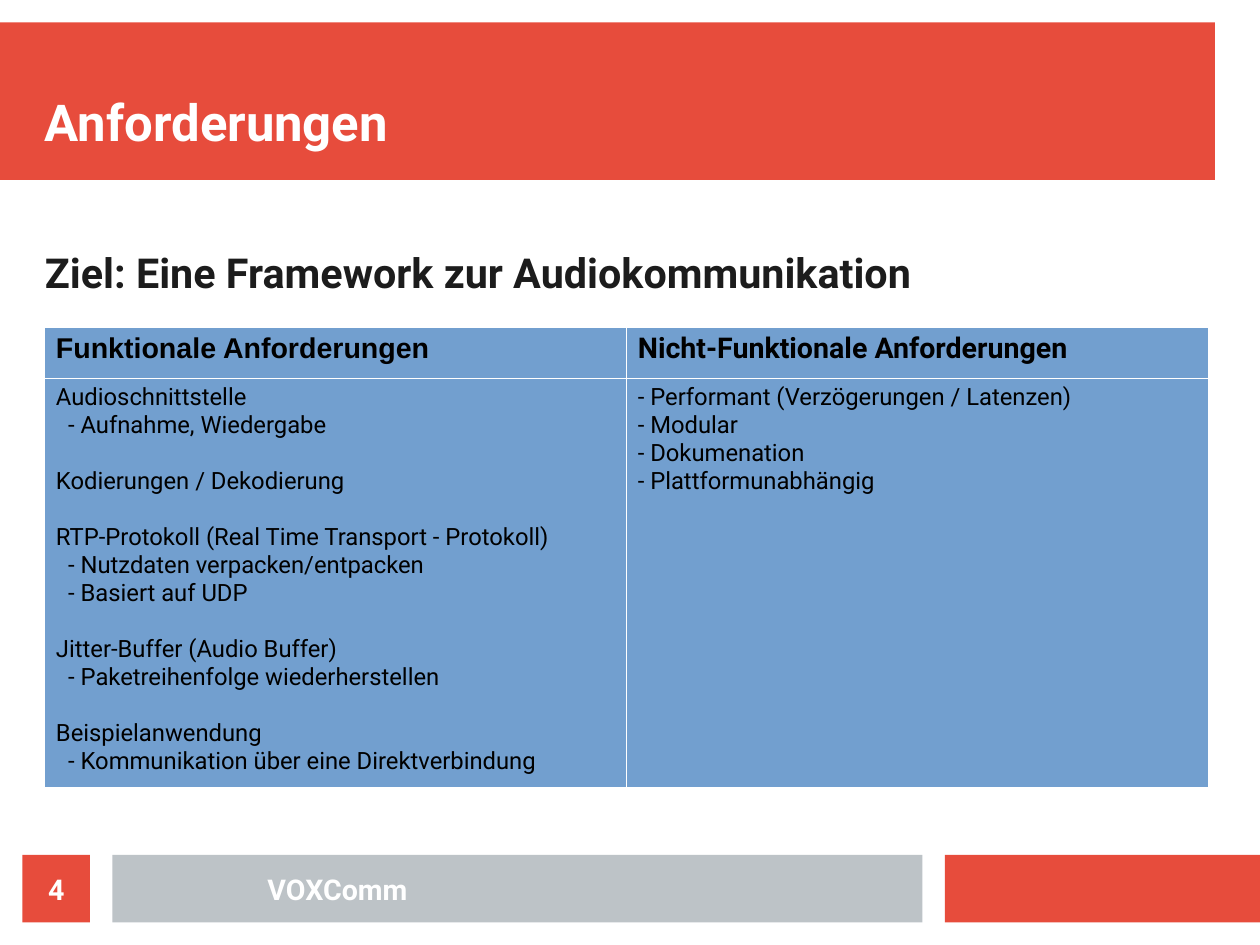
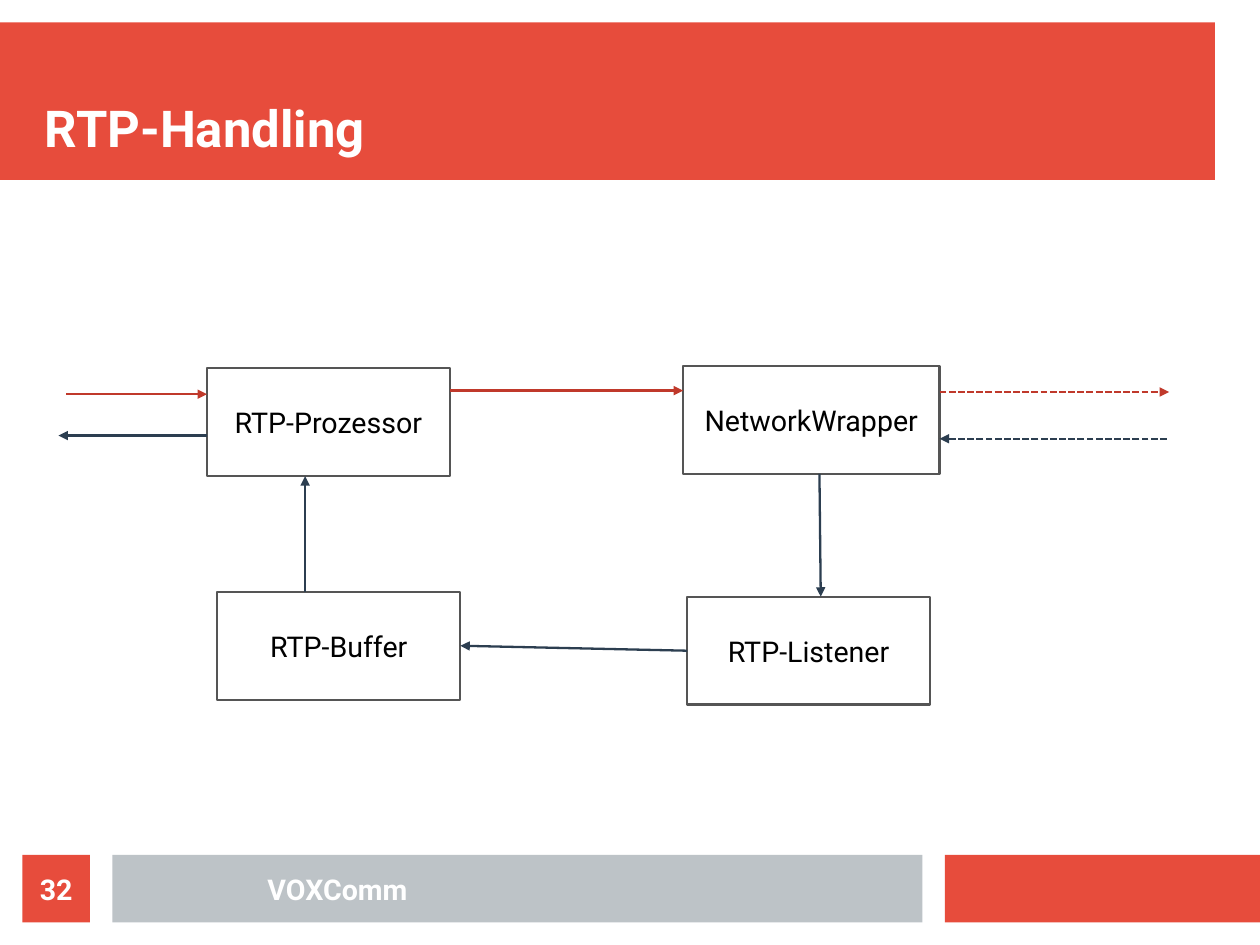
from dataclasses import dataclass
from typing import Optional

import lxml.etree
import pptx
import pptx.dml.color
import pptx.enum.dml
import pptx.enum.shapes
import pptx.enum.text
import pptx.oxml.ns
import pptx.presentation
import pptx.shapes.autoshape
import pptx.slide
import pptx.table
import pptx.text.text
import pptx.util
from pptx.util import Cm

COLORS = {
    "red": "E74C3C",
    "gray": "BDC3C7",
    "white": "FFFFFF",
    "ink": "1C1C1C",
    "black": "000000",
    "table": "729FCF",
    "outline": "555555",
    "send": "C0392B",
    "receive": "2C3E50",
}
FONT = "Roboto"
LEFT, CENTER = pptx.enum.text.PP_ALIGN.LEFT, pptx.enum.text.PP_ALIGN.CENTER
TOP, MIDDLE, BOTTOM = (pptx.enum.text.MSO_ANCHOR.TOP, pptx.enum.text.MSO_ANCHOR.MIDDLE,
                       pptx.enum.text.MSO_ANCHOR.BOTTOM)
SIDE_TOP, SIDE_LEFT, SIDE_BOTTOM, SIDE_RIGHT = range(4)
FOOTER_TOP, FOOTER_HEIGHT = 19, 1.5
LINE_WIDTH = 1.45
TABLE_LINE = 17.6


@dataclass(frozen=True)
class Area:
    """Rectangle in centimetres."""
    left: float
    top: float
    width: float
    height: float

    def lengths(self) -> tuple[Cm, Cm, Cm, Cm]:
        return Cm(self.left), Cm(self.top), Cm(self.width), Cm(self.height)


@dataclass(frozen=True)
class Node:
    name: str
    area: Area


@dataclass(frozen=True)
class Arrow:
    start: tuple[float, float]
    end: tuple[float, float]
    color: str
    dashed: bool = False
    start_joint: Optional[tuple[str, int]] = None
    end_joint: Optional[tuple[str, int]] = None


@dataclass(frozen=True)
class Entry:
    """One line in a table cell."""
    text: str
    indent: float = 0
    space_before: float = 0


def rgb(name: str) -> pptx.dml.color.RGBColor:
    return pptx.dml.color.RGBColor.from_string(COLORS[name])


# Text
def write(paragraph, text: str, *, size: float = 18, color: str = "black", font: str = FONT,
          bold: bool = False, align=LEFT, indent: float = 0, space_before: float = 0) -> None:
    paragraph.alignment = align
    paragraph.space_before = pptx.util.Pt(space_before)
    if indent:
        paragraph._p.get_or_add_pPr().set("marL", str(Cm(indent)))
    run = paragraph.add_run()
    run.text = text
    run.font.name = font
    run.font.size = pptx.util.Pt(size)
    run.font.bold = bold
    run.font.color.rgb = rgb(color)


def set_frame(frame: pptx.text.text.TextFrame, anchor, wrap: bool = True) -> None:
    frame.word_wrap = wrap
    frame.vertical_anchor = anchor
    frame.margin_left = frame.margin_right = frame.margin_top = frame.margin_bottom = 0


def add_text(slide: pptx.slide.Slide, area: Area, text: str, anchor=TOP, **style) -> None:
    frame = slide.shapes.add_textbox(*area.lengths()).text_frame
    set_frame(frame, anchor)
    write(frame.paragraphs[0], text, **style)


# Shapes
def add_box(slide: pptx.slide.Slide, area: Area, fill: str, outline: Optional[str] = None,
            text: str = "", wrap: bool = True, **style) -> pptx.shapes.autoshape.Shape:
    shape = slide.shapes.add_shape(pptx.enum.shapes.MSO_SHAPE.RECTANGLE, *area.lengths())
    shape.shadow.inherit = False
    shape.fill.solid()
    shape.fill.fore_color.rgb = rgb(fill)
    if outline:
        shape.line.color.rgb = rgb(outline)
        shape.line.width = pptx.util.Pt(LINE_WIDTH)
    else:
        shape.line.fill.background()
    if text:
        set_frame(shape.text_frame, MIDDLE, wrap)
        write(shape.text_frame.paragraphs[0], text, align=CENTER, **style)
    return shape


def add_arrow(slide: pptx.slide.Slide, arrow: Arrow,
              boxes: dict[str, pptx.shapes.autoshape.Shape]) -> None:
    connector = slide.shapes.add_connector(
        pptx.enum.shapes.MSO_CONNECTOR.STRAIGHT,
        *(Cm(value) for value in arrow.start + arrow.end))
    if arrow.start_joint:
        name, side = arrow.start_joint
        connector.begin_connect(boxes[name], side)
    if arrow.end_joint:
        name, side = arrow.end_joint
        connector.end_connect(boxes[name], side)
    connector.line.color.rgb = rgb(arrow.color)
    connector.line.width = pptx.util.Pt(LINE_WIDTH)
    if arrow.dashed:
        connector.line.dash_style = pptx.enum.dml.MSO_LINE.SQUARE_DOT
    line = connector.line._get_or_add_ln()
    lxml.etree.SubElement(line, pptx.oxml.ns.qn("a:tailEnd"), type="triangle")
    lxml.etree.SubElement(connector._element.spPr, pptx.oxml.ns.qn("a:effectLst"))


# Table cells
def style_cell(cell: pptx.table._Cell) -> None:
    properties = cell._tc.get_or_add_tcPr()
    for edge in ("a:lnL", "a:lnR", "a:lnT", "a:lnB"):
        line = lxml.etree.SubElement(properties, pptx.oxml.ns.qn(edge),
                                     w=str(pptx.util.Pt(0.06)))
        solid = lxml.etree.SubElement(line, pptx.oxml.ns.qn("a:solidFill"))
        lxml.etree.SubElement(solid, pptx.oxml.ns.qn("a:srgbClr"), val=COLORS["white"])
    cell.fill.solid()
    cell.fill.fore_color.rgb = rgb("table")


def fill_cell(cell: pptx.table._Cell, entries: list[Entry]) -> None:
    frame = cell.text_frame
    for index, entry in enumerate(entries):
        paragraph = frame.add_paragraph() if index else frame.paragraphs[0]
        write(paragraph, entry.text, size=15, indent=entry.indent,
              space_before=entry.space_before)


# Parts common to all slides
def add_base_slide(presentation: pptx.presentation.Presentation, title: str, number: int,
                   title_bottom: float) -> pptx.slide.Slide:
    slide = presentation.slides.add_slide(presentation.slide_layouts[6])
    add_box(slide, Area(0, 0.5, 27, 3.5), "red")
    add_box(slide, Area(21, FOOTER_TOP, 7, FOOTER_HEIGHT), "red")
    add_box(slide, Area(2.5, FOOTER_TOP, 18, FOOTER_HEIGHT), "gray")
    add_text(slide, Area(1, 1, 26, title_bottom - 1), title, BOTTOM,
             size=32, color="white", bold=True)
    add_text(slide, Area(3, FOOTER_TOP, 9, FOOTER_HEIGHT), "VOXComm", MIDDLE,
             color="white", bold=True, align=CENTER)
    add_box(slide, Area(0.5, FOOTER_TOP, 1.5, FOOTER_HEIGHT), "red", text=str(number),
            color="white", bold=True)
    return slide


# Slide: requirements
FUNCTIONAL = {
    "Audioschnittstelle": ["Aufnahme, Wiedergabe"],
    "Kodierungen / Dekodierung": [],
    "RTP-Protokoll (Real Time Transport - Protokoll)": [
        "Nutzdaten verpacken/entpacken", "Basiert auf UDP"],
    "Jitter-Buffer (Audio Buffer)": ["Paketreihenfolge wiederherstellen"],
    "Beispielanwendung": ["Kommunikation über eine Direktverbindung"],
}
NON_FUNCTIONAL = ["Performant (Verzögerungen / Latenzen)", "Modular", "Dokumenation",
                  "Plattformunabhängig"]


def add_requirements(presentation: pptx.presentation.Presentation) -> None:
    slide = add_base_slide(presentation, "Anforderungen", 4, 3.38)
    add_text(slide, Area(1, 5.5, 25.5, 1.3), "Ziel: Eine Framework zur Audiokommunikation",
             size=26, color="ink", bold=True)

    table = slide.shapes.add_table(2, 2, *Area(0.99, 7.26, 25.86, 10.11).lengths()).table
    table.first_row = table.horz_banding = False
    for column in table.columns:
        column.width = Cm(12.93)
    for row, height in zip(table.rows, (1.14, 8.97)):
        row.height = Cm(height)
    for cell in table.iter_cells():
        style_cell(cell)

    headings = (("Funktionale Anforderungen", "Arial"), ("Nicht-Funktionale Anforderungen", FONT))
    for column, (heading, font) in enumerate(headings):
        write(table.cell(0, column).text_frame.paragraphs[0], heading, font=font, bold=True)

    functional: list[Entry] = []
    for topic, details in FUNCTIONAL.items():
        functional.append(Entry(topic, space_before=TABLE_LINE if functional else 0))
        functional += [Entry(f"- {detail}", indent=0.27) for detail in details]
    fill_cell(table.cell(1, 0), functional)
    fill_cell(table.cell(1, 1), [Entry(f"- {quality}") for quality in NON_FUNCTIONAL])


# Slide: RTP data flow
PROCESSOR, LISTENER = "RTP-Prozessor", "RTP-Listener"
BUFFER, NETWORK = "RTP-Buffer", "NetworkWrapper"
NODES = [
    Node(PROCESSOR, Area(4.6, 8.18, 5.4, 2.4)),
    Node(LISTENER, Area(15.27, 13.26, 5.4, 2.4)),
    Node(BUFFER, Area(4.83, 13.15, 5.4, 2.4)),
    Node(NETWORK, Area(15.18, 8.13, 5.7, 2.4)),
]
ARROWS = [
    Arrow((1.47, 8.76), (4.6, 8.76), "send"),
    Arrow((10, 8.68), (15.18, 8.68), "send"),
    Arrow((20.88, 8.71), (25.98, 8.71), "send", dashed=True),
    Arrow((25.93, 9.75), (20.88, 9.75), "receive", dashed=True),
    Arrow((18.21, 10.53), (18.24, 13.26), "receive"),
    Arrow((15.27, 14.46), (10.23, 14.35), "receive",
          start_joint=(LISTENER, SIDE_LEFT), end_joint=(BUFFER, SIDE_RIGHT)),
    Arrow((6.78, 13.15), (6.78, 10.58), "receive"),
    Arrow((4.6, 9.68), (1.3, 9.68), "receive"),
]


def add_rtp_handling(presentation: pptx.presentation.Presentation) -> None:
    slide = add_base_slide(presentation, "RTP-Handling", 32, 3.5)
    boxes = {node.name: add_box(slide, node.area, "white", "outline", node.name, wrap=False)
             for node in NODES}
    for arrow in ARROWS:
        add_arrow(slide, arrow, boxes)


def main() -> None:
    presentation = pptx.Presentation()
    presentation.slide_width, presentation.slide_height = Cm(28), Cm(21)
    add_requirements(presentation)
    add_rtp_handling(presentation)
    presentation.save("out.pptx")


if __name__ == "__main__":
    main()
